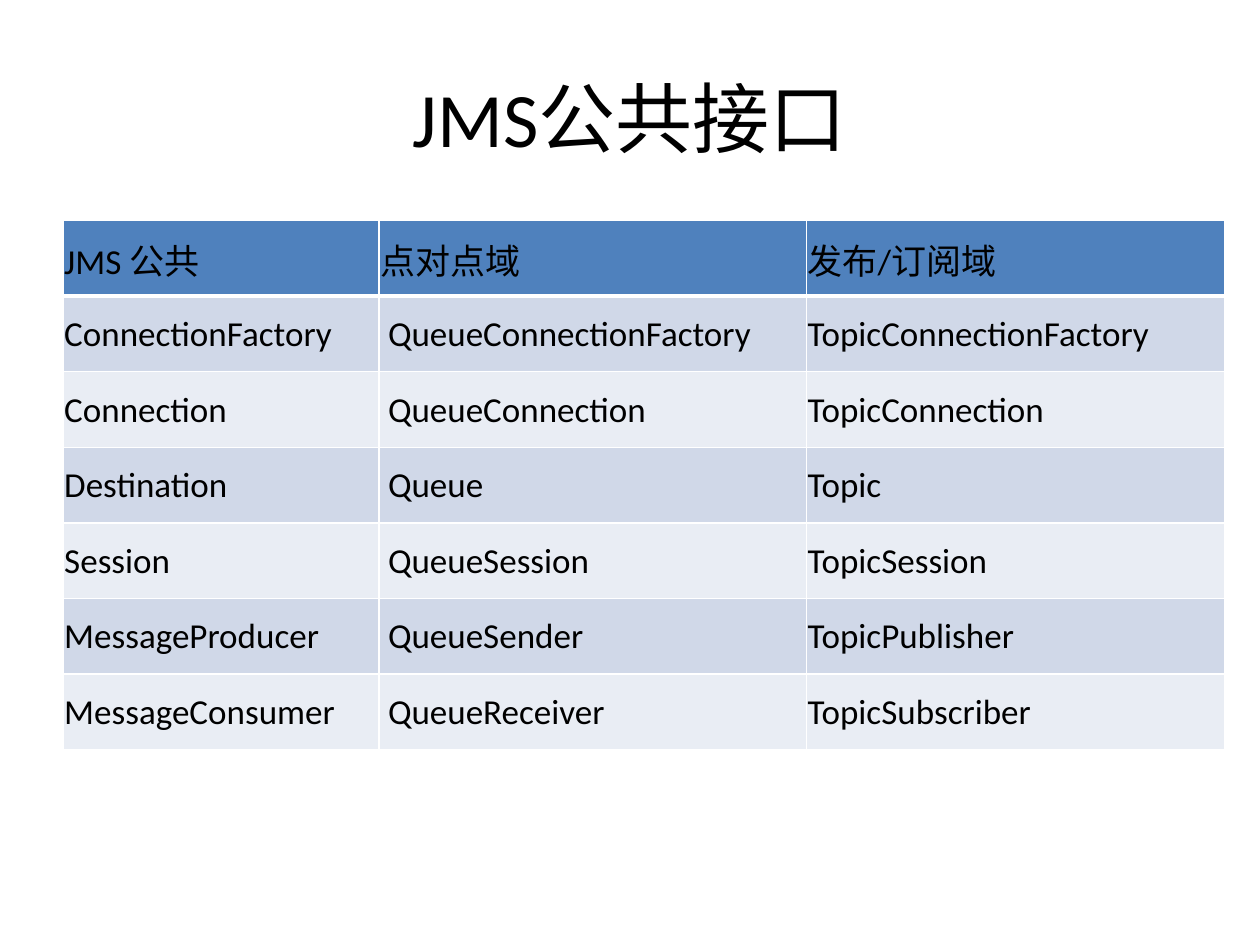
from dataclasses import dataclass

from lxml import etree
from pptx import Presentation
from pptx import util as u
from pptx.dml import color
from pptx.enum import text
from pptx.oxml import ns


@dataclass(frozen=True)
class Theme:
    font: str = "Calibri"
    title_size: int = 44
    table_size: int = 20
    ink: str = "000000"
    paper: str = "FFFFFF"
    header: str = "4F81BD"
    bands: tuple = ("D0D8E8", "E9EDF4")
    rule: int = 1
    header_rule: int = 3


THEME = Theme()
COLUMN_WIDTHS = (2.51, 3.39, 3.32)
ROW_HEIGHT = 0.6
CELL_MARGIN = 0.01
QUEUE_COLUMN = 1
QUEUE_INDENT = 0.07
INTERFACES = (
    ("JMS 公共", "点对点域", "发布/订阅域"),
    ("ConnectionFactory", "QueueConnectionFactory", "TopicConnectionFactory"),
    ("Connection", "QueueConnection", "TopicConnection"),
    ("Destination", "Queue", "Topic"),
    ("Session", "QueueSession", "TopicSession"),
    ("MessageProducer", "QueueSender", "TopicPublisher"),
    ("MessageConsumer", "QueueReceiver", "TopicSubscriber"),
)


def rgb(value):
    return color.RGBColor.from_string(value)


def add_span(para, words, size):
    span = para.add_run()
    span.text = words
    span.font.name = THEME.font
    span.font.size = u.Pt(size)
    span.font.bold = False
    span.font.color.rgb = rgb(THEME.ink)


def set_title(page, words):
    title = page.shapes.title
    title.left, title.top = u.Inches(0.5), u.Inches(0.3)
    title.width, title.height = u.Inches(9), u.Inches(1.25)
    title.text_frame.vertical_anchor = text.MSO_ANCHOR.MIDDLE
    para = title.text_frame.paragraphs[0]
    para.alignment = text.PP_ALIGN.CENTER
    add_span(para, words, THEME.title_size)


def add_border(cell, side, points):
    properties = cell._tc.get_or_add_tcPr()
    line = etree.SubElement(properties, ns.qn(f"a:ln{side}"), w=str(u.Pt(points)))
    fill = etree.SubElement(line, ns.qn("a:solidFill"))
    etree.SubElement(fill, ns.qn("a:srgbClr"), val=THEME.paper)


def format_cell(cell, row, column):
    is_header = row == 0
    indented = column == QUEUE_COLUMN and not is_header
    cell.margin_left = u.Inches(QUEUE_INDENT if indented else CELL_MARGIN)
    cell.margin_top = cell.margin_right = u.Inches(CELL_MARGIN)
    cell.margin_bottom = 0
    cell.vertical_anchor = text.MSO_ANCHOR.MIDDLE
    rules = {
        "L": THEME.rule,
        "R": THEME.rule,
        "T": THEME.header_rule if row == 1 else THEME.rule,
        "B": THEME.header_rule if is_header else THEME.rule,
    }
    for side, points in rules.items():
        add_border(cell, side, points)
    cell.fill.solid()
    cell.fill.fore_color.rgb = rgb(THEME.header if is_header else THEME.bands[(row - 1) % 2])


def add_interface_table(page):
    frame = page.shapes.add_table(
        len(INTERFACES), len(COLUMN_WIDTHS), u.Inches(0.5), u.Inches(1.75),
        u.Inches(sum(COLUMN_WIDTHS)), u.Inches(ROW_HEIGHT * len(INTERFACES)),
    )
    table = frame.table
    table.horz_banding = False
    for column, width in zip(table.columns, COLUMN_WIDTHS):
        column.width = u.Inches(width)
    for row, names in enumerate(INTERFACES):
        table.rows[row].height = u.Inches(ROW_HEIGHT)
        for column, name in enumerate(names):
            cell = table.cell(row, column)
            format_cell(cell, row, column)
            add_span(cell.text_frame.paragraphs[0], name, THEME.table_size)


def main():
    deck = Presentation()
    deck.slide_width, deck.slide_height = u.Inches(10), u.Inches(7.5)
    page = deck.slides.add_slide(deck.slide_layouts.get_by_name("Title Only"))
    page.background.fill.solid()
    page.background.fill.fore_color.rgb = rgb(THEME.paper)
    set_title(page, "JMS公共接口")
    add_interface_table(page)
    deck.save("out.pptx")


if __name__ == "__main__":
    main()
